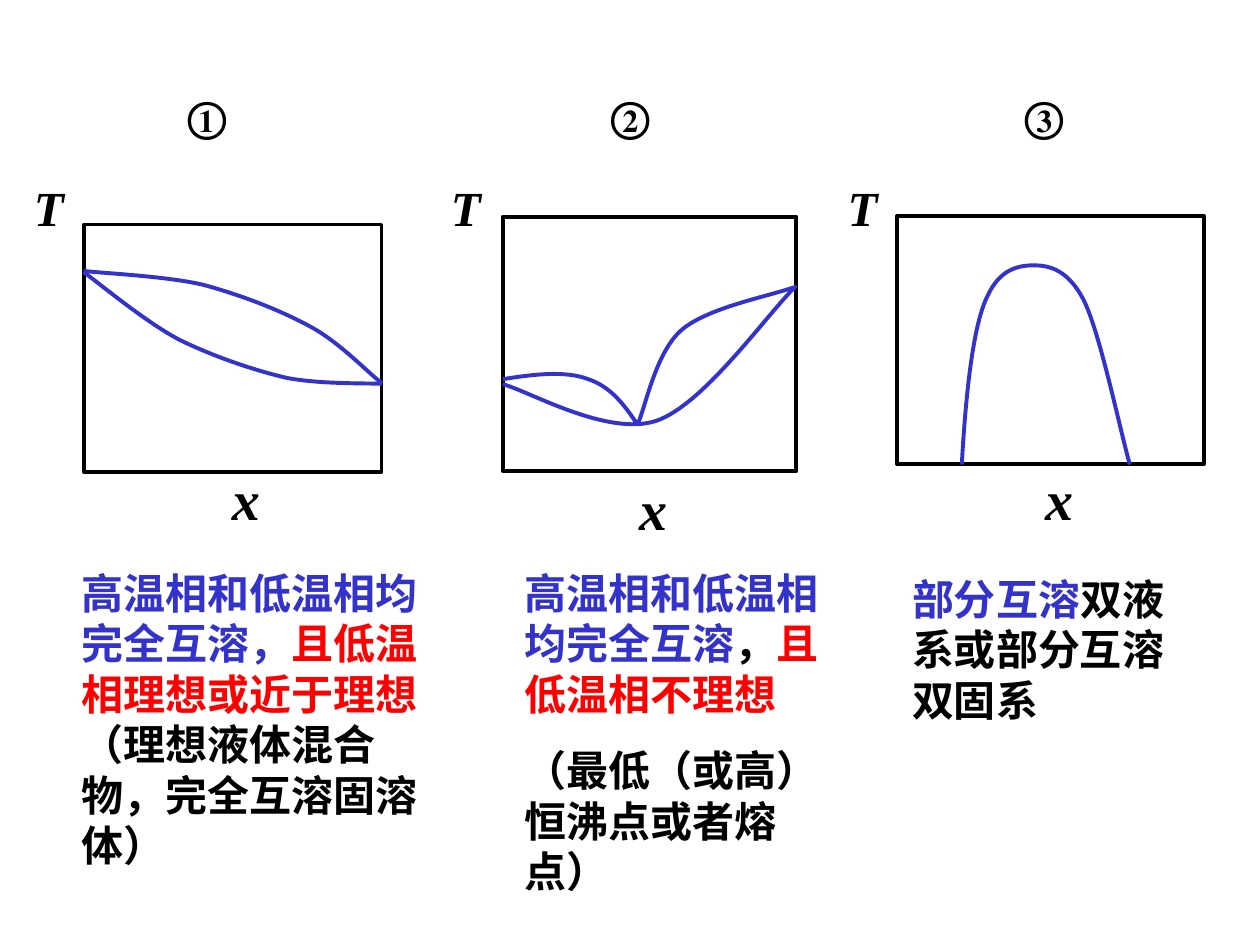
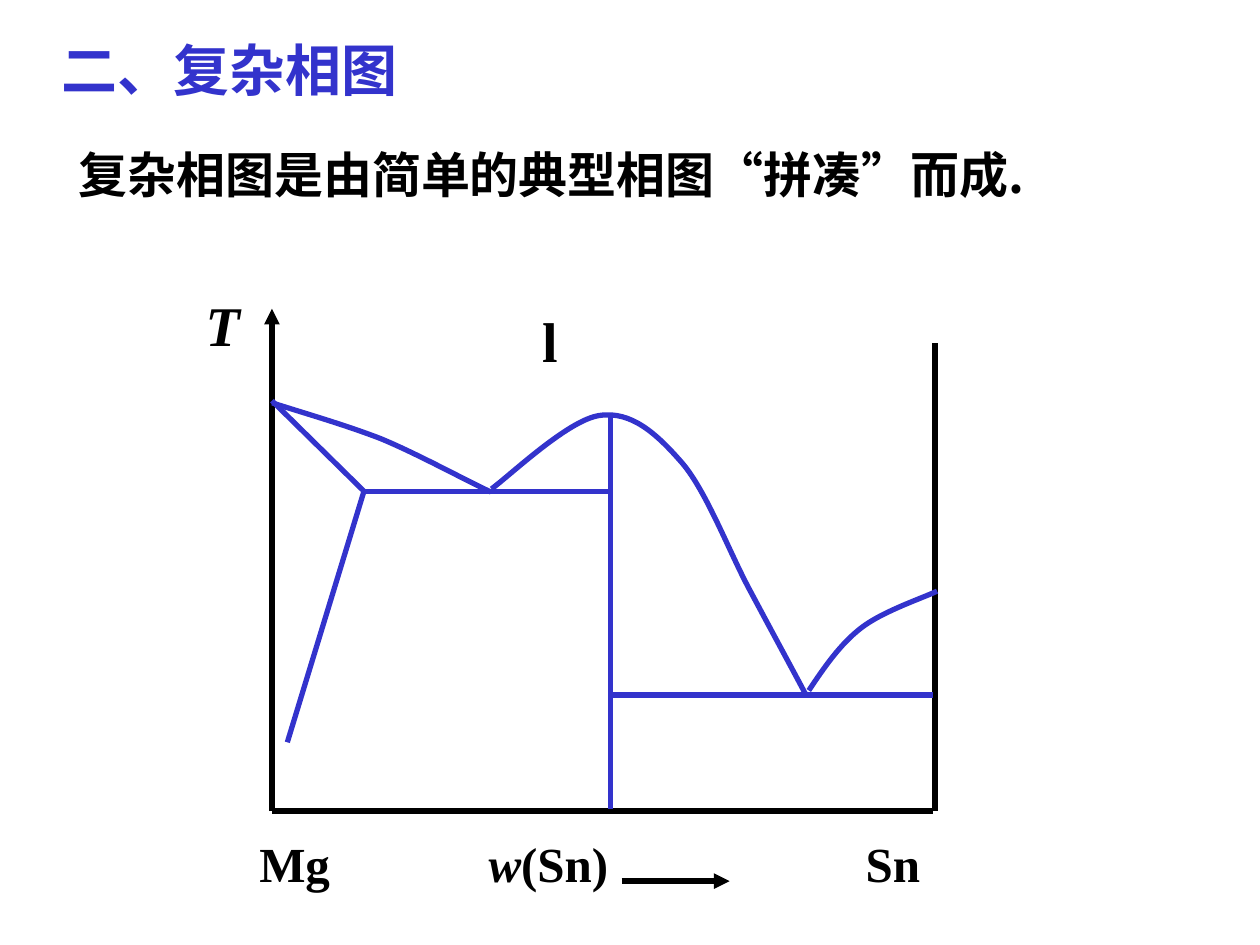
import pptx
import pptx.util
import pptx.dml.color
import pptx.enum.shapes
import pptx.oxml.ns
import lxml.etree

BLUE, RED, BLACK = "3333CC", "FF0000", "000000"
SERIF, SANS = "Times New Roman", "Noto Sans CJK SC"
LEAD = 1.2

PLOTS = [
    {"mark": ("①", 100, 48.4), "T": (19.4, 101.5), "x": (132.5, 265.7),
     "frame": (48, 128.2, 170, 141.6), "line": 2,
     "curves": [
         [(47.8, 155.5), (56.9, 162), (83.5, 184.3), (103, 194.4), (122.4, 203.8),
          (145.4, 211.7), (164.2, 216), (183.6, 219.6), (209.5, 218.9), (218.2, 219.3)],
         [(47.8, 154.8), (59, 156.2), (94.3, 157.7), (115.9, 162.7), (137.5, 168.5),
          (159.8, 177.1), (177.1, 186.5), (194.4, 195.8), (209.5, 212.4), (218.2, 218.9)]],
     "note": (39.6, 320.7, 219.6, 151), "gap": 0,
     "text": [[("高温相和低温相均完全互溶，", BLUE), ("且低温相理想或近于理想", RED)],
              [("（理想液体混合物，完全互溶固溶体）", BLACK)]]},
    {"mark": ("②", 341.8, 48.4), "T": (257.6, 101.5), "x": (365.2, 271.4),
     "frame": (287.3, 123.8, 167.8, 145.4), "line": 2.25,
     "curves": [
         [(287.3, 219.6), (301.7, 223.2), (347, 249.8), (375.1, 240.5), (402.5, 231.1),
          (438.5, 179.3), (455, 163.4)],
         [(287.3, 216.7), (305.3, 213.8), (323.3, 211.7), (336.2, 216.7), (349.2, 221),
          (357.1, 231.8), (364.3, 242.6)],
         [(364.3, 242.6), (368.6, 234), (374.4, 201.6), (389.5, 188.6), (404.6, 175.7),
          (439.9, 169.2), (453.6, 164.2)]],
     "note": (292.7, 320.7, 200.9, 195), "gap": 15,
     "text": [[("高温相和低温相均完全互溶", BLUE), ("，", BLACK), ("且低温相不理想", RED)],
              [("（最低（或高）恒沸点或者熔点）", BLACK)]]},
    {"mark": ("③", 578.2, 48.4), "T": (484.3, 101.5), "x": (597.2, 265.7),
     "frame": (512.6, 123.5, 175.7, 141.6), "line": 2.25,
     "curves": [
         [(549.6, 265.4), (551.5, 230.4), (555.1, 194.4), (561.6, 175.7), (568.1, 157),
          (577.4, 152.6), (587.5, 151.7), (596.9, 151.2), (609.1, 151.9), (619.2, 171.4),
          (628.6, 190.1), (640.1, 246.2), (645.6, 265.4)]],
     "note": (514.1, 324.2, 175.7, 93.6), "gap": 0,
     "text": [[("部分互溶", BLUE), ("双液系或部分互溶双固系", BLACK)]]},
]

LEFT, RIGHT, BASE, MID = 155.4, 534.3, 463.5, 348.7
KNEE = (208, 280.7)
LINES = [
    ((LEFT, BASE), (533.4, BASE), BLACK, False),
    ((RIGHT, BASE), (RIGHT, 195.8), BLACK, False),
    ((LEFT, BASE), (LEFT, 176.4), BLACK, True),
    ((355.2, 503.5), (416.9, 503.5), BLACK, True),
    ((MID, 236.5), (MID, 462.2), BLUE, False),
    (KNEE, (MID, 280.7), BLUE, False),
    ((MID, 397.2), (533.2, 397.2), BLUE, False),
    ((LEFT, 229), KNEE, BLUE, False),
    (KNEE, (164.2, 424.2), BLUE, False),
]
CURVES = [
    [(280.8, 279.4), (290.9, 272.2), (324.7, 239.8), (342.7, 237.4), (360.7, 234.7),
     (375.1, 247.7), (389.5, 264.2), (403.9, 280.8), (416.9, 316.1), (429.1, 338.4),
     (440.6, 360), (454.3, 385.2), (460.6, 397.2)],
    [(462.2, 394.6), (470.9, 381.6), (480.2, 367.9), (492.5, 358.6), (504.7, 349.2),
     (528.5, 341.3), (535.5, 337.8)],
    [(155.5, 230.2), (176.4, 236.9), (196.6, 242.6), (217.4, 250.6), (238.3, 259.2),
     (267.1, 275), (280.6, 281.2)],
]
TABS = [131, 346.5]

Pt = pptx.util.Pt
qn = pptx.oxml.ns.qn


def tint(code):
    return pptx.dml.color.RGBColor.from_string(code)


def sub(node, tag, **attrs):
    return lxml.etree.SubElement(node, qn(tag), **attrs)


def write(slide, box, paras, size, face=SERIF, pad=True, slant=False, gap=0, tabs=()):
    shape = slide.shapes.add_textbox(*map(Pt, box))
    frame = shape.text_frame
    frame.word_wrap = True
    if not pad:
        frame.margin_left = frame.margin_right = 0
        frame.margin_top = frame.margin_bottom = 0
    for num, parts in enumerate(paras):
        para = frame.add_paragraph() if num else frame.paragraphs[0]
        para._p.get_or_add_pPr().set("hangingPunct", "0")
        para.line_spacing = Pt(size * LEAD)
        if num and gap:
            para.space_before = Pt(gap)
        if tabs:
            stops = sub(para._p.get_or_add_pPr(), "a:tabLst")
            for stop in tabs:
                sub(stops, "a:tab", pos=str(Pt(stop)), algn="l")
        font = para.font
        font.size, font.name, font.bold, font.italic = Pt(size), face, True, slant
        for text, code, *lean in parts:
            run = para.add_run()
            run.text = text
            run.font.color.rgb = tint(code)
            if lean:
                run.font.italic = lean[0]
            if face == SANS:
                run.font.name = SANS
                sub(run._r.get_or_add_rPr(), "a:ea", typeface=SANS)


def curve(slide, pts, width):
    dots = [(Pt(x), Pt(y)) for x, y in pts]
    knots = dots[::3]
    build = slide.shapes.build_freeform(*knots[0])
    build.add_line_segments(knots[1:], close=False)
    shape = build.convert_to_shape()
    outline(shape, BLUE, width)
    trace = next(shape._element.iter(qn("a:path")))
    for old in trace.findall(qn("a:lnTo")):
        trace.remove(old)
    for i in range(1, len(dots), 3):
        bend = sub(trace, "a:cubicBezTo")
        for x, y in dots[i:i + 3]:
            sub(bend, "a:pt", x=str(x - shape.left), y=str(y - shape.top))


def outline(shape, code, width):
    shape.shadow.inherit = False
    shape.fill.background()
    shape.line.color.rgb = tint(code)
    shape.line.width = Pt(width)


def link(slide, start, end, code, arrow):
    line = slide.shapes.add_connector(
        pptx.enum.shapes.MSO_CONNECTOR.STRAIGHT, *map(Pt, start + end))
    line.line.color.rgb = tint(code)
    line.line.width = Pt(3)
    if arrow:
        sub(line.line._get_or_add_ln(), "a:tailEnd", type="triangle")
    sub(line._element.spPr, "a:effectLst")


def draw_types(slide):
    for plot in PLOTS:
        rect = slide.shapes.add_shape(
            pptx.enum.shapes.MSO_SHAPE.RECTANGLE, *map(Pt, plot["frame"]))
        outline(rect, BLACK, plot["line"])
        for pts in plot["curves"]:
            curve(slide, pts, 2.25)
        for name, size in (("T", 28), ("x", 32)):
            write(slide, plot[name] + (34, size * LEAD), [[(name, BLACK)]], size,
                  pad=False, slant=True)
        mark, x, y = plot["mark"]
        write(slide, (x, y, 40, 36), [[(mark, BLACK)]], 24)
        write(slide, plot["note"], plot["text"], 24, SANS, gap=plot["gap"])


def draw_mix(slide):
    write(slide, (28, 16.6, 510, 46), [[("二、复杂相图", BLUE)]], 32, SANS)
    write(slide, (37.8, 79, 600, 41),
          [[("复杂相图是由简单的典型相图“拼凑”而成.", BLACK)]], 28, SANS)
    for line in LINES:
        link(slide, *line)
    for pts in CURVES:
        curve(slide, pts, 3)
    write(slide, (110.4, 162.4, 40, 46), [[("T", BLACK)]], 32, slant=True)
    write(slide, (303.1, 171.4, 30, 46), [[("l", BLACK)]], 32)
    write(slide, (141.1, 472.8, 410, 41),
          [[("Mg\t", BLACK), ("w", BLACK, True), ("(Sn)\tSn", BLACK)]], 28, tabs=TABS)


def main():
    deck = pptx.Presentation()
    deck.slide_width, deck.slide_height = Pt(720), Pt(540)
    for draw in (draw_types, draw_mix):
        draw(deck.slides.add_slide(deck.slide_layouts[6]))
    deck.save("out.pptx")


if __name__ == "__main__":
    main()
